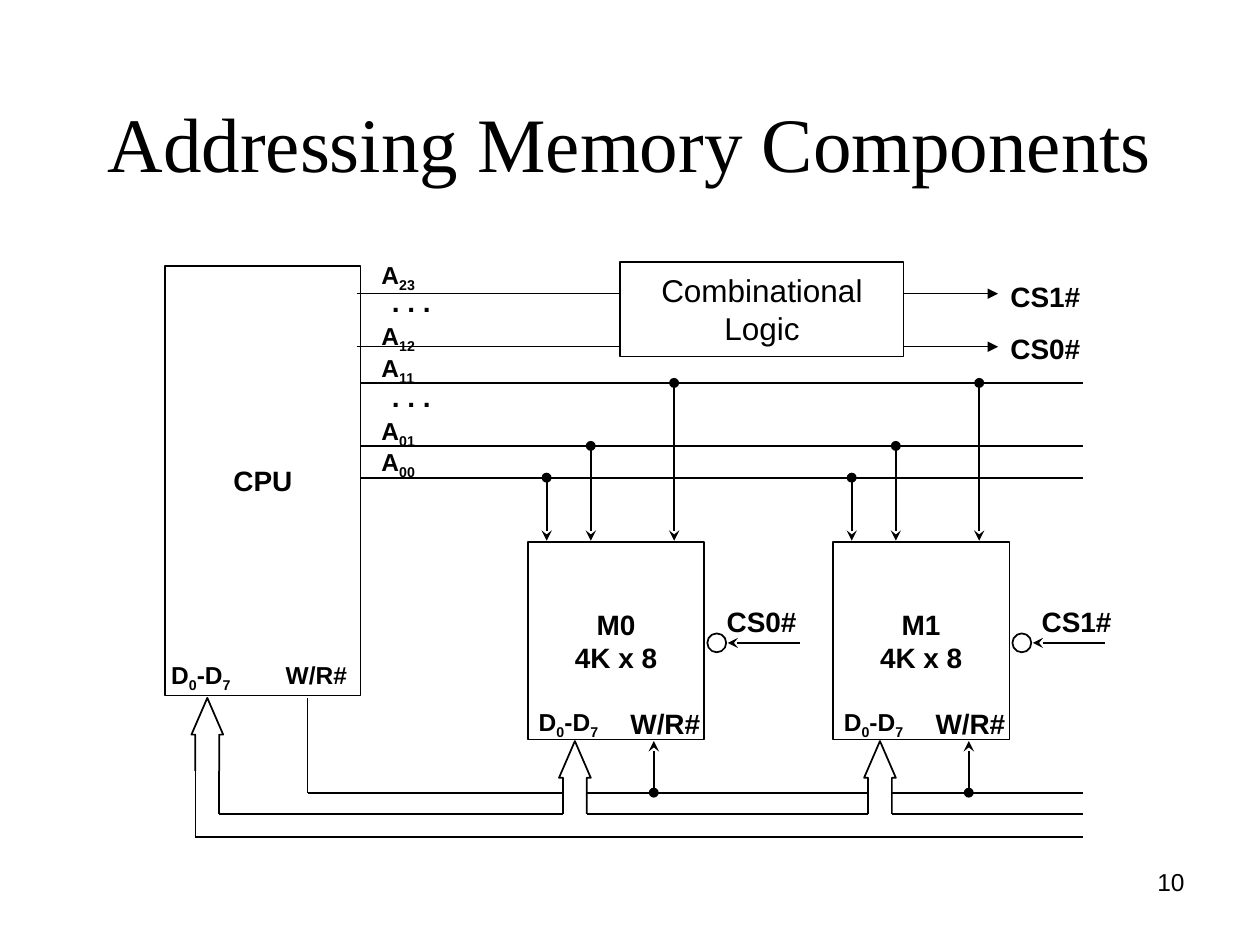
from dataclasses import dataclass

import pptx
import pptx.dml.color
import pptx.enum.shapes
import pptx.enum.text
import pptx.oxml.ns
import pptx.util
from lxml import etree

Cm = pptx.util.Cm
ALIGN = pptx.enum.text.PP_ALIGN
ANCHOR = pptx.enum.text.MSO_ANCHOR
SHAPE = pptx.enum.shapes.MSO_SHAPE
qn = pptx.oxml.ns.qn


@dataclass(frozen=True)
class Theme:
    ink: str = "000000"
    paper: str = "FFFFFF"
    title_font: str = "Times New Roman"
    body_font: str = "Arial"
    title: int = 44
    block: int = 18
    signal: int = 16
    pin: int = 14
    wire: float = 1
    thin: float = 0.75


class Diagram:
    """Draws on one slide; all positions are in centimetres."""

    def __init__(self, slide, theme):
        self.shapes = slide.shapes
        self.theme = theme

    def color(self, value):
        return pptx.dml.color.RGBColor.from_string(value)

    def stroke(self, line, width):
        line.color.rgb = self.color(self.theme.ink)
        line.width = pptx.util.Pt(width)

    def fill_text(self, frame, text, size, bold=True, font=None, align=ALIGN.LEFT):
        """Fill a frame; every second piece between bars is a subscript."""
        for index, row in enumerate(text.split("\n")):
            paragraph = frame.paragraphs[0] if index == 0 else frame.add_paragraph()
            paragraph.alignment = align
            for place, piece in enumerate(row.split("|")):
                run = paragraph.add_run()
                run.text = piece
                run.font.name = font or self.theme.body_font
                run.font.size = pptx.util.Pt(size)
                run.font.bold = bold
                run.font.color.rgb = self.color(self.theme.ink)
                if place % 2:
                    run.font._element.set("baseline", "-25000")

    def label(self, text, x, y, w, h=0.94, size=None, wrap=False,
              anchor=ANCHOR.TOP, **style):
        frame = self.shapes.add_textbox(Cm(x), Cm(y), Cm(w), Cm(h)).text_frame
        frame.word_wrap = wrap
        frame.vertical_anchor = anchor
        self.fill_text(frame, text, size or self.theme.signal, **style)
        return frame

    def shape(self, kind, x, y, w, h, fill, width):
        shape = self.shapes.add_shape(kind, Cm(x), Cm(y), Cm(w), Cm(h))
        shape.shadow.inherit = False
        shape.fill.solid()
        shape.fill.fore_color.rgb = self.color(fill)
        if width:
            self.stroke(shape.line, width)
        else:
            shape.line.fill.background()
        return shape

    def block(self, text, x, y, w, h, size=None, width=None, bold=True):
        box = self.shape(SHAPE.RECTANGLE, x, y, w, h, self.theme.paper,
                         width or self.theme.wire)
        box.text_frame.word_wrap = False
        box.text_frame.vertical_anchor = ANCHOR.MIDDLE
        self.fill_text(box.text_frame, text, size or self.theme.signal, bold,
                       align=ALIGN.CENTER)

    def junction(self, x, y, d=0.2):
        self.shape(SHAPE.OVAL, x - d / 2, y - d / 2, d, d, self.theme.ink, None)

    def bubble(self, x, y, d=0.38):
        self.shape(SHAPE.OVAL, x, y - d / 2, d, d, self.theme.paper,
                   self.theme.wire)

    def wire(self, x1, y1, x2, y2, arrow=None, width=None):
        wire = self.shapes.add_connector(
            pptx.enum.shapes.MSO_CONNECTOR.STRAIGHT, Cm(x1), Cm(y1), Cm(x2), Cm(y2))
        self.stroke(wire.line, width or self.theme.wire)
        if arrow:
            tip = etree.SubElement(wire.line._get_or_add_ln(), qn("a:tailEnd"))
            tip.set("type", arrow)
        etree.SubElement(wire._element.spPr, qn("a:effectLst"))

    def bus_arrow(self, x, y):
        """Open outline of a wide arrow pointing up, tip at (x, y)."""
        neck, end = y + 0.74, y + 1.47
        outline = [(x - SHAFT, end), (x - SHAFT, neck), (x - 0.32, neck), (x, y),
                   (x + 0.32, neck), (x + SHAFT, neck), (x + SHAFT, end)]
        points = [(Cm(px), Cm(py)) for px, py in outline]
        builder = self.shapes.build_freeform(*points[0], scale=1.0)
        builder.add_line_segments(points[1:], close=False)
        arrow = builder.convert_to_shape()
        arrow.shadow.inherit = False
        arrow.fill.background()
        self.stroke(arrow.line, self.theme.wire)


SHAFT = 0.24                      # half width of the data bus
BUS_RIGHT = 21.84
WRITE_Y, DATA_TOP, DATA_BOTTOM = 15.98, 16.41, 16.87
CPU_BOTTOM, MEMORY_BOTTOM = 14.07, 14.94
CPU_DATA, CPU_WRITE = 4.18, 6.2
MEMORY_STEP = 6.15                # from M0 to M1
MEMORY_DATA = [11.59, 11.59 + MEMORY_STEP]
ADDRESS_PINS = [(11.02, 9.63), (11.91, 8.99), (13.59, 7.72)]


def main():
    theme = Theme()
    deck = pptx.Presentation()
    deck.slide_width, deck.slide_height = Cm(25.4), Cm(19.05)
    diagram = Diagram(deck.slides.add_slide(deck.slide_layouts[6]), theme)

    # Title and page number
    title = diagram.label("Addressing Memory Components", 1.27, 0.76, 22.86, 3.18,
                          theme.title, wrap=True, anchor=ANCHOR.BOTTOM, bold=False,
                          font=theme.title_font, align=ALIGN.CENTER)
    title.paragraphs[0].line_spacing = 0.9
    diagram.label("10", 18.21, 17.35, 5.92, 1.32, theme.pin, wrap=True,
                  bold=False, align=ALIGN.RIGHT)

    # CPU
    diagram.block("CPU", 3.33, 5.36, 3.94, 8.66)
    diagram.label("D|0|-D|7", 3.2, 13.18, 1.73, size=theme.pin)
    diagram.label("W/R#", 5.51, 13.18, 1.75, size=theme.pin)
    diagram.bus_arrow(CPU_DATA, CPU_BOTTOM)

    # Data bus and write line, broken at each memory's bus arrow
    outer, inner = CPU_DATA - SHAFT, CPU_DATA + SHAFT
    diagram.wire(outer, CPU_BOTTOM + 1.47, outer, DATA_BOTTOM)
    diagram.wire(outer, DATA_BOTTOM, BUS_RIGHT, DATA_BOTTOM)
    diagram.wire(inner, CPU_BOTTOM + 1.47, inner, DATA_TOP)
    diagram.wire(CPU_WRITE, CPU_BOTTOM, CPU_WRITE, WRITE_Y)
    ends = [x - SHAFT for x in MEMORY_DATA] + [BUS_RIGHT]
    resumes = [x + SHAFT for x in MEMORY_DATA]
    for y, start in ((DATA_TOP, inner), (WRITE_Y, CPU_WRITE)):
        for left, right in zip([start] + resumes, ends):
            diagram.wire(left, y, right, y)

    # Address lines
    for _, y in ADDRESS_PINS:
        diagram.wire(7.26, y, BUS_RIGHT, y)
    for bit, y in (("23", 5.11), ("12", 6.35), ("11", 6.99),
                   ("01", 8.26), ("00", 8.89)):
        diagram.label(f"A|{bit}", 7.44, y, 1.19, size=theme.pin)
    for y in (5.61, 7.52):
        diagram.label(". . .", 7.65, y, 1.3)

    # Memories: write pin and select signal sit slightly further apart on M1
    for index, (write_x, select_x) in enumerate(((13.18, 14.4), (19.53, 20.75))):
        shift = index * MEMORY_STEP
        diagram.block(f"M{index}\n4K x 8", 10.64 + shift, 10.92, 3.56, 3.99)
        diagram.label("D|0|-D|7", 10.61 + shift, 14.12, 1.73, size=theme.pin)
        diagram.label("W/R#", 12.46 + shift, 14.11, 1.93)
        diagram.bus_arrow(MEMORY_DATA[index], MEMORY_BOTTOM)
        diagram.wire(write_x, WRITE_Y, write_x, MEMORY_BOTTOM, "stealth")
        diagram.junction(write_x, WRITE_Y)
        for x, y in ADDRESS_PINS:
            diagram.wire(x + shift, y, x + shift, 10.9, "stealth")
            diagram.junction(x + shift, y)
        diagram.bubble(14.26 + shift, 12.96)
        diagram.wire(16.13 + shift, 12.96, 14.67 + shift, 12.96, "stealth")
        diagram.label(f"CS{index}#", select_x, 12.07, 1.93)

    # Chip-select logic
    diagram.block("Combinational\nLogic", 12.5, 5.28, 5.72, 1.91, theme.block,
                  theme.thin, bold=False)
    for signal, y, label_y in (("CS1#", 5.92, 5.51), ("CS0#", 6.99, 6.55)):
        diagram.wire(7.19, y, 12.5, y, width=theme.thin)
        diagram.wire(18.21, y, 20.12, y, "triangle", theme.thin)
        diagram.label(signal, 20.12, label_y, 1.93)

    deck.save("out.pptx")


if __name__ == "__main__":
    main()
